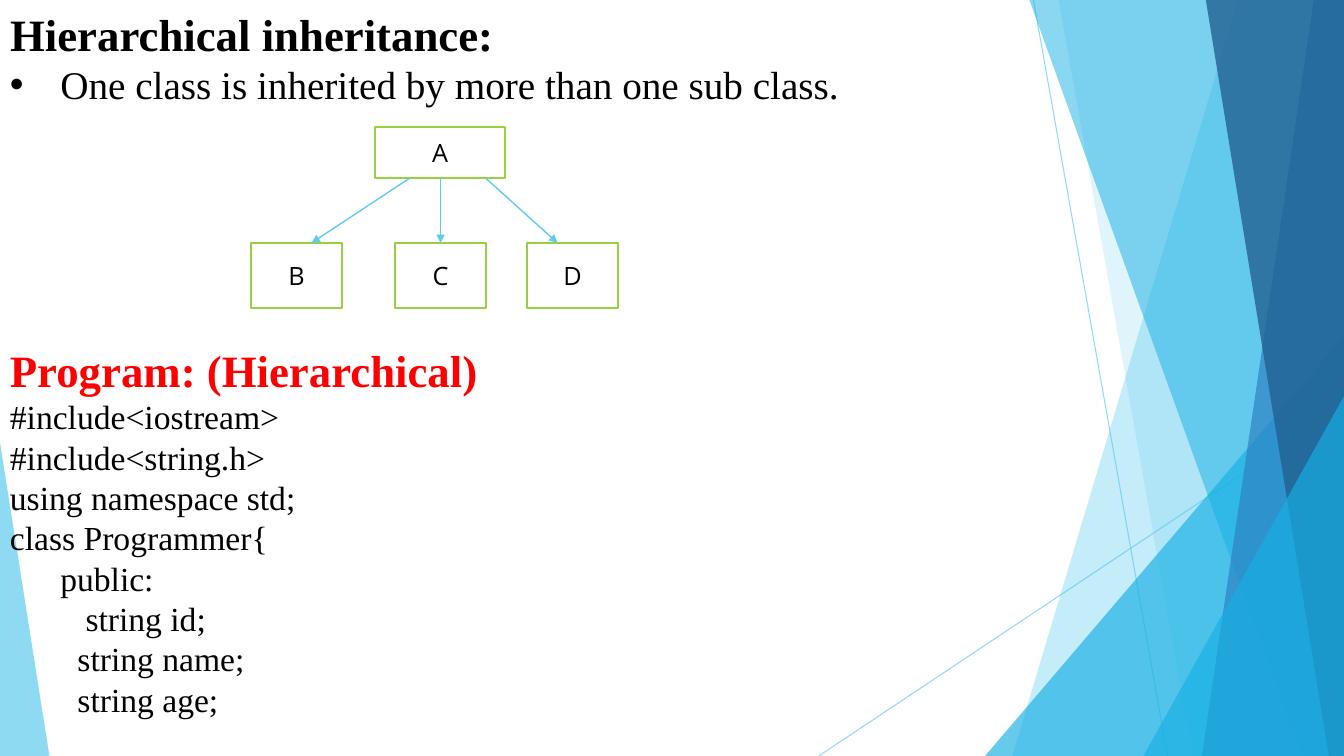
from lxml.etree import SubElement
from pptx import Presentation
from pptx.dml.color import RGBColor
from pptx.enum.dml import MSO_THEME_COLOR
from pptx.enum.shapes import MSO_CONNECTOR, MSO_SHAPE
from pptx.enum.text import MSO_ANCHOR, MSO_AUTO_SIZE, PP_ALIGN
from pptx.oxml.ns import qn
from pptx.util import Inches, Pt

# Content
TITLE = "Hierarchical inheritance:"
DEFINITION = "One class is inherited by more than one sub class."
PROGRAM_HEADING = "Program: (Hierarchical)"
PROGRAM = [  # text, indent
    ("#include<iostream>", 0),
    ("#include<string.h>", 0),
    ("using namespace std;", 0),
    ("class Programmer{", 0),
    ("public:", 0.5),
    ("string id;", 0.75),
    ("string name;", 0.67),
    ("string age;", 0.67),
]
PARENT = ("A", 3.72)  # class name, left edge
CHILDREN = [("B", 2.49, 4.06, 3.09), ("C", 3.92, 4.37, 4.37),
            ("D", 5.23, 4.82, 5.53)]  # name, left edge, arrow start, arrow end


class Theme:
    black, red, white = "000000", "FF0000", "FFFFFF"
    sky, cyan, blue, navy = "5FCBEF", "17B0E4", "2E83C3", "226292"
    green = "96D141"
    serif, sans = "Times New Roman", "Open Sans"
    heading, body, code, label = 32, 28, 24, 18
    line_height = 1.2


WIDTH, HEIGHT = 13.33, 7.5
PARENT_TOP, PARENT_SIZE = 1.26, (1.29, 0.51)
CHILD_TOP, CHILD_SIZE = 2.41, (0.9, 0.65)

# Background facets: bands reach the right edge, from top x to bottom x;
# triangles are left, top, width, apex position
FACETS = [
    ("band", (12.28, 10.04), Theme.sky, 36),
    ("band", (10.5, 11.83), Theme.sky, 20),
    ("triangle", (9.77, 3.33, 3.56, 1), Theme.cyan, 66),
    ("band", (10.21, 12.91), Theme.cyan, 50),
    ("band", (13.03, 11.92), Theme.blue, 70),
    ("band", (11.96, 13.18), Theme.navy, 80),
    ("triangle", (11.34, 3.93, 1.99, 1), Theme.cyan, 66),
    ("triangle", (0, 4.39, 0.49, 0), Theme.sky, 70),
]
RAYS = [((10.25, 0), (11.58, HEIGHT)), ((WIDTH, 4.03), (8.12, HEIGHT))]


def paint(fill, color, opacity=100):
    fill.solid()
    fill.fore_color.rgb = RGBColor.from_string(color)
    if opacity < 100:
        value = fill._xPr.find(qn("a:solidFill"))[0]
        SubElement(value, qn("a:alpha"), val=str(opacity * 1000))


def add_line(page, start, end, width, opacity=100, arrow=False):
    line = page.shapes.add_connector(
        MSO_CONNECTOR.STRAIGHT, *map(Inches, start + end))
    line.line.width = Pt(width)
    paint(line.line.fill, Theme.sky, opacity)
    if arrow:
        SubElement(line.line._get_or_add_ln(), qn("a:tailEnd"), type="triangle")
    SubElement(line._element.spPr, qn("a:effectLst"))


def add_facet(page, kind, place, color, opacity):
    if kind == "band":
        top_x, bottom_x = place
        corners = [(WIDTH, 0), (WIDTH, HEIGHT), (bottom_x, HEIGHT)]
        outline = page.shapes.build_freeform(Inches(top_x), 0)
        outline.add_line_segments(
            [(Inches(x), Inches(y)) for x, y in corners], close=True)
        facet = outline.convert_to_shape()
    else:
        left, top, width, apex = place
        facet = page.shapes.add_shape(
            MSO_SHAPE.ISOSCELES_TRIANGLE,
            *map(Inches, (left, top, width, HEIGHT - top)))
        facet.adjustments[0] = apex
    facet.shadow.inherit = False
    paint(facet.fill, color, opacity)
    facet.line.fill.background()


def write(para, text, size, color=Theme.black, bold=False, font=Theme.serif):
    span = para.add_run()
    span.text = text
    span.font.name, span.font.size, span.font.bold = font, Pt(size), bold
    span.font.color.rgb = RGBColor.from_string(color)


def write_line(para, text, size, indent=0, **style):
    para.alignment = PP_ALIGN.LEFT
    para.line_spacing = Pt(size * Theme.line_height)
    para.space_before = Pt(0)
    para._p.get_or_add_pPr().set("marL", str(Inches(indent)))
    write(para, text, size, **style)


def prepare(box):
    frame = box.text_frame
    frame.word_wrap = True
    frame.auto_size = MSO_AUTO_SIZE.NONE
    frame.vertical_anchor = MSO_ANCHOR.TOP
    return frame


def add_text_box(page, top, height):
    return prepare(page.shapes.add_textbox(
        0, Inches(top), Inches(9.7), Inches(height)))


def add_class_box(page, name, left, top, size):
    box = page.shapes.add_shape(
        MSO_SHAPE.RECTANGLE, *map(Inches, (left, top) + size))
    box.shadow.inherit = False
    paint(box.fill, Theme.white)
    paint(box.line.fill, Theme.green)
    box.line.width = Pt(1.5)
    box.text_frame.vertical_anchor = MSO_ANCHOR.MIDDLE
    para = box.text_frame.paragraphs[0]
    para.alignment = PP_ALIGN.CENTER
    write(para, name, Theme.label, font=Theme.sans)


def main():
    deck = Presentation()
    deck.slide_width, deck.slide_height = Inches(WIDTH), Inches(HEIGHT)
    page = deck.slides.add_slide(deck.slide_layouts[5])
    page.background.fill.solid()
    page.background.fill.fore_color.theme_color = MSO_THEME_COLOR.BACKGROUND_1

    # Background
    for start, end in RAYS:
        add_line(page, start, end, 0.75, opacity=70)
    for facet in FACETS:
        add_facet(page, *facet)

    # Title
    title = page.shapes.title
    title.left, title.top = Inches(0), Inches(0.02)
    title.width, title.height = Inches(9.7), Inches(0.6)
    write_line(prepare(title).paragraphs[0], TITLE, Theme.heading, bold=True)

    # Definition
    para = add_text_box(page, 0.55, 0.57).paragraphs[0]
    write_line(para, DEFINITION, Theme.body, indent=0.5)
    properties = para._p.get_or_add_pPr()
    properties.set("indent", str(-Inches(0.5)))
    SubElement(properties, qn("a:buFont"), typeface="Arial")
    SubElement(properties, qn("a:buChar"), char="•")

    # Program
    frame = add_text_box(page, 3.35, 4.1)
    write_line(frame.paragraphs[0], PROGRAM_HEADING, Theme.heading,
               color=Theme.red, bold=True)
    for text, indent in PROGRAM:
        write_line(frame.add_paragraph(), text, Theme.code, indent)

    # Class diagram
    add_class_box(page, *PARENT, PARENT_TOP, PARENT_SIZE)
    for name, left, start_x, end_x in CHILDREN:
        add_class_box(page, name, left, CHILD_TOP, CHILD_SIZE)
        add_line(page, (start_x, PARENT_TOP + PARENT_SIZE[1]),
                 (end_x, CHILD_TOP), 1, arrow=True)

    deck.save("out.pptx")


if __name__ == "__main__":
    main()
